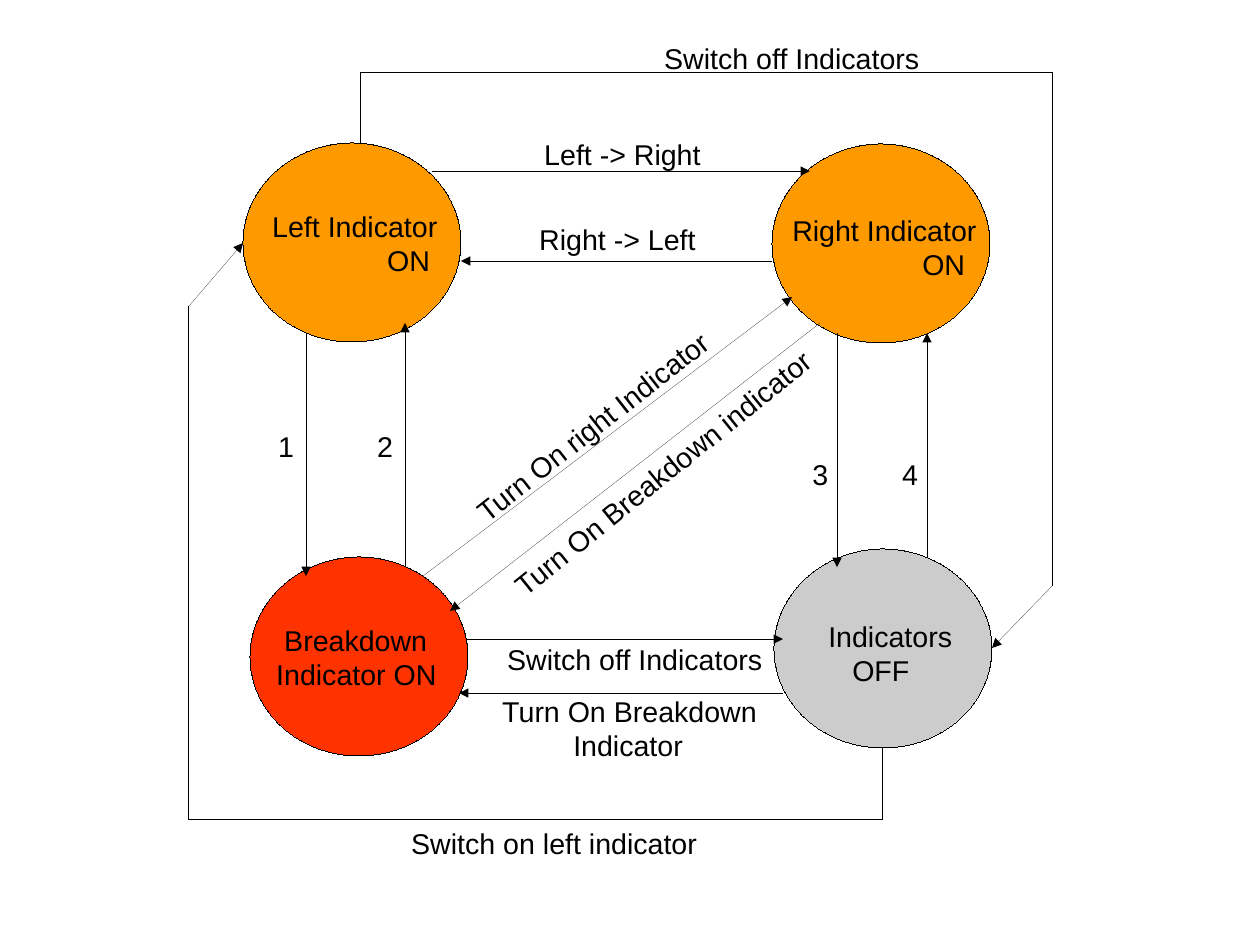
"""Build the state diagram slide for car turn indicators."""
import itertools

import pptx
import pptx.dml.color
import pptx.enum.shapes
import pptx.oxml.ns
import pptx.util
from lxml import etree


class Theme:
    black = pptx.dml.color.RGBColor.from_string("000000")
    orange = pptx.dml.color.RGBColor.from_string("FF9900")
    red = pptx.dml.color.RGBColor.from_string("FF3300")
    grey = pptx.dml.color.RGBColor.from_string("CCCCCC")
    font = "Arial"
    size = pptx.util.Pt(18)
    hairline = pptx.util.Pt(0.01)


def px(*lengths):
    return [pptx.util.Emu(length * 8000) for length in lengths]


def style_line(line):
    line.color.rgb = Theme.black
    line.width = Theme.hairline


presentation = pptx.Presentation()
presentation.slide_width, presentation.slide_height = px(1260, 945)
slide = presentation.slides.add_slide(presentation.slide_layouts[6])
qn = pptx.oxml.ns.qn

states = [
    (243, 143, Theme.orange),
    (772, 144, Theme.orange),
    (250, 557, Theme.red),
    (774, 549, Theme.grey),
]
for left, top, color in states:
    shape = slide.shapes.add_shape(
        pptx.enum.shapes.MSO_SHAPE.OVAL, *px(left, top, 218, 199)
    )
    shape.shadow.inherit = False
    shape.fill.solid()
    shape.fill.fore_color.rgb = color
    style_line(shape.line)

transitions = [
    [(432, 171), (810, 171)],
    [(772, 261), (461, 261)],
    [(306, 333), (306, 576)],
    [(405, 567), (405, 323)],
    [(837, 333), (837, 567)],
    [(927, 558), (927, 333)],
    [(467, 639), (783, 639)],
    [(783, 693), (459, 693)],
    [(423, 576), (792, 297)],
    [(820, 323), (450, 611)],
    [(360, 143), (360, 72), (1053, 72), (1053, 585), (992, 648)],
    [(882, 748), (882, 819), (189, 819), (189, 306), (243, 243)],
]
for points in transitions:
    for start, end in itertools.pairwise(points):
        connector = slide.shapes.add_connector(
            pptx.enum.shapes.MSO_CONNECTOR.STRAIGHT, *px(*start, *end)
        )
        style_line(connector.line)
        etree.SubElement(connector._element.spPr, qn("a:effectLst"))
    arrowhead = etree.SubElement(connector.line._get_or_add_ln(), qn("a:tailEnd"))
    arrowhead.set("type", "triangle")

labels = [
    (261, 203, 205, 0, [("Left Indicator", 0), ("ON", 115)]),
    (781, 207, 220, 0, [("Right Indicator", 0), ("ON", 130)]),
    (265, 617, 200, 0, [("Breakdown", 8), ("Indicator ON", 0)]),
    (817, 613, 165, 0, [("Indicators", 0), ("OFF", 24)]),
    (533, 131, 195, 0, [("Left -> Right", 0)]),
    (528, 216, 195, 0, [("Right -> Left", 0)]),
    (400, 820, 325, 0, [("Switch on left indicator", 0)]),
    (496, 636, 295, 0, [("Switch off Indicators", 0)]),
    (653, 35, 295, 0, [("Switch off Indicators", 0)]),
    (491, 688, 300, 0, [("Turn On Breakdown", 0), ("Indicator", 71)]),
    (436, 398, 326, -38.1, [("Turn On right Indicator", 0)]),
    (463, 444, 413, -38.9, [("Turn On Breakdown indicator", 0)]),
    (267, 423, 50, 0, [("1", 0)]),
    (366, 423, 50, 0, [("2", 0)]),
    (801, 451, 50, 0, [("3", 0)]),
    (891, 451, 50, 0, [("4", 0)]),
]
for left, top, width, rotation, lines in labels:
    height = 11 + 32 * len(lines)
    text_box = slide.shapes.add_textbox(*px(left, top, width, height))
    text_box.rotation = rotation
    text_frame = text_box.text_frame
    text_frame.word_wrap = True
    text_frame.text = "\n".join(text for text, indent in lines)
    for paragraph, (text, indent) in zip(text_frame.paragraphs, lines):
        paragraph._p.get_or_add_pPr().set("marL", str(px(indent)[0]))
        paragraph.font.name = Theme.font
        paragraph.font.size = Theme.size
        paragraph.font.color.rgb = Theme.black

presentation.save("out.pptx")
